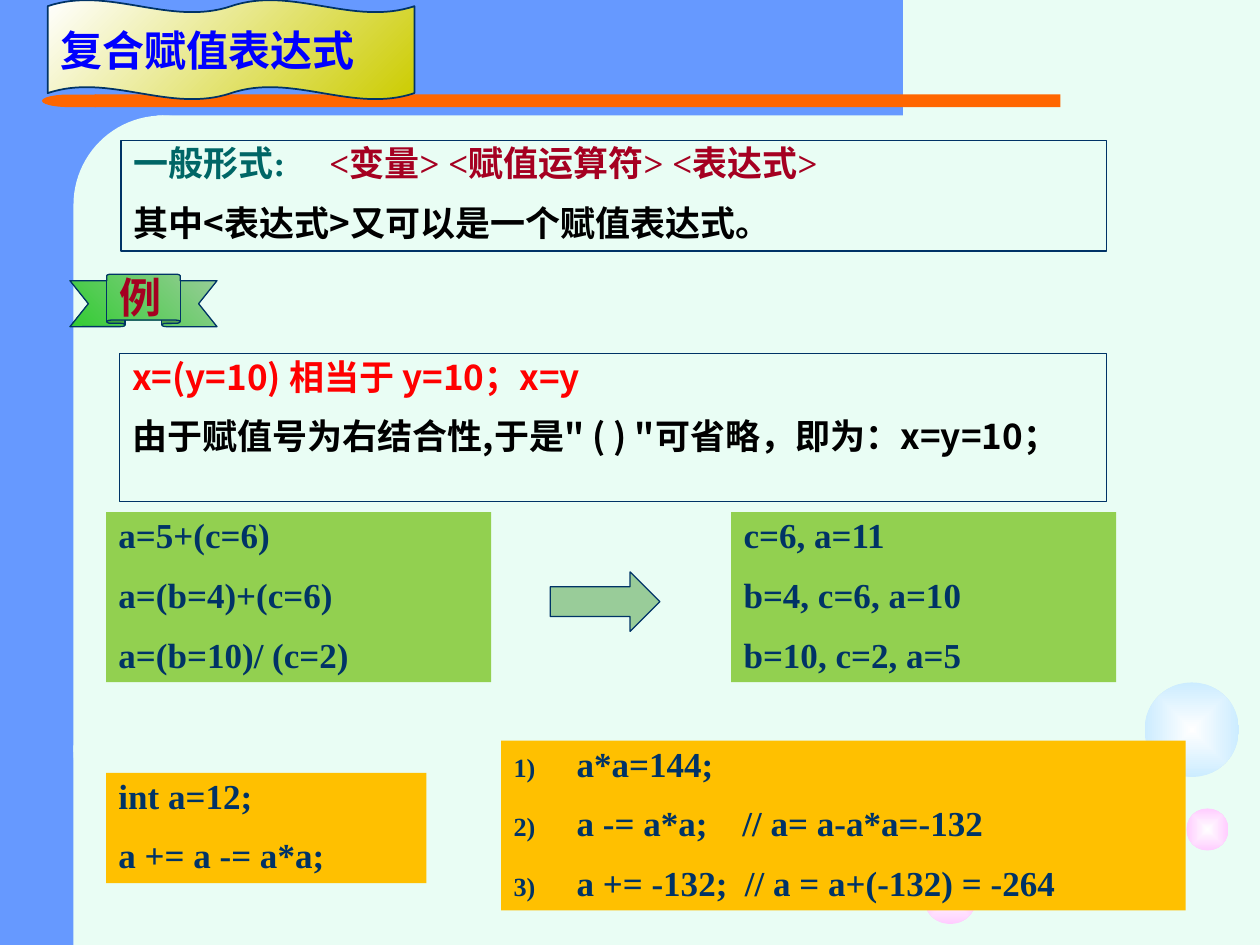
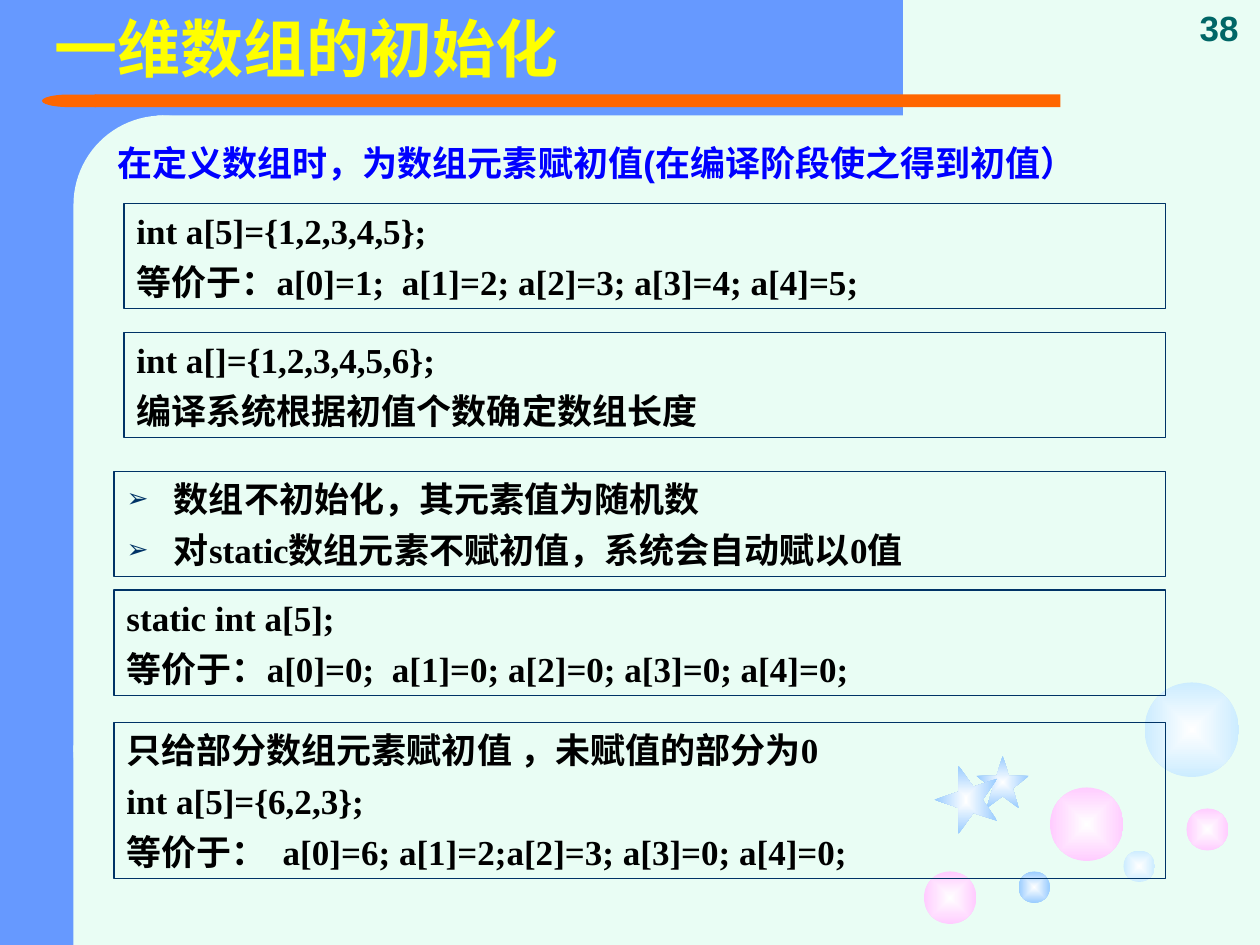
from dataclasses import dataclass, replace

import pptx
import pptx.dml.color
import pptx.enum.shapes
import pptx.enum.text
import pptx.oxml
import pptx.oxml.ns
import pptx.util

Pt = pptx.util.Pt
Kind = pptx.enum.shapes.MSO_SHAPE
Anchor = pptx.enum.text.MSO_ANCHOR
qn = pptx.oxml.ns.qn


@dataclass(frozen=True)
class Theme:
    mint: str = "E9FDF4"
    blue: str = "6699FF"
    orange: str = "FF6600"
    navy: str = "003366"
    teal: str = "006666"
    wine: str = "A50021"
    red: str = "FF0000"
    black: str = "000000"
    white: str = "FFFFFF"
    ink: str = "0000FF"
    yellow: str = "FFFF00"
    olive: str = "CCCC00"
    pink: str = "FFCCFF"
    sky: str = "CCECFF"
    azure: str = "99CCFF"
    sage: str = "99CC99"
    green: str = "33CC33"
    lime: str = "92D050"
    gold: str = "FFC000"
    serif: str = "Times New Roman"
    sans: str = "Arial"
    hans: str = "Noto Sans CJK SC"
    badge: str = "Cabin"
    text: int = 20
    head: int = 24
    title: int = 36


THEME = Theme()


@dataclass(frozen=True)
class Look:
    """Type style of a paragraph; gap is the space before, lead the line spacing."""
    hue: str
    face: str = THEME.serif
    size: int = THEME.text
    gap: float = 12.5
    lead: float = 0.9


CODE = Look(THEME.navy)
NOTE = Look(THEME.black, THEME.hans)
PLAIN = Look(THEME.black, gap=5, lead=1)


def rgb(hue):
    return pptx.dml.color.RGBColor.from_string(hue)


def place(shape, spot):
    shape.left, shape.top, shape.width, shape.height = map(Pt, spot)


def draw(slide, kind, spot, fill=None, edge=None, width=0.75):
    """Add a preset shape, with no fill or no line where none is given."""
    shape = slide.shapes.add_shape(kind, *map(Pt, spot))
    shape.shadow.inherit = False
    if fill:
        shape.fill.solid()
        shape.fill.fore_color.rgb = rgb(fill)
    else:
        shape.fill.background()
    if edge:
        shape.line.color.rgb = rgb(edge)
        shape.line.width = Pt(width)
    else:
        shape.line.fill.background()
    return shape


def shade(shape, start, end, angle=None):
    """Blend two colours along an angle, or from the centre outwards."""
    shape.fill.gradient()
    for stop, hue in zip(shape.fill.gradient_stops, (start, end)):
        stop.color.rgb = rgb(hue)
    if angle is not None:
        shape.fill.gradient_angle = angle
        return
    blend = shape.element.spPr.find(qn("a:gradFill"))
    blend.remove(blend.find(qn("a:lin")))
    blend.append(pptx.oxml.parse_xml(
        f'<a:path {pptx.oxml.ns.nsdecls("a")} path="rect">'
        '<a:fillToRect l="50000" t="50000" r="50000" b="50000"/></a:path>'))


def add_xml(props, *parts):
    for part in parts:
        head, tail = part.split(" ", 1) if " " in part else (part, "")
        props.append(pptx.oxml.parse_xml(
            f'<a:{head} {pptx.oxml.ns.nsdecls("a")} {tail}/>'))


def mark(para, sign, indent):
    """Give a paragraph a bullet or number with a hanging indent."""
    props = para._p.get_or_add_pPr()
    props.set("marL", str(Pt(indent)))
    props.set("indent", str(-Pt(indent)))
    tint = pptx.oxml.parse_xml(
        f'<a:buClr {pptx.oxml.ns.nsdecls("a")}>'
        f'<a:srgbClr val="{THEME.navy}"/></a:buClr>')
    props.append(tint)
    add_xml(props, 'buSzPct val="75000"', sign)


def style(para, look, first):
    para.alignment = pptx.enum.text.PP_ALIGN.LEFT
    para.line_spacing = look.lead
    para.space_before = Pt(0 if first else look.gap)
    font = para.font
    font.name, font.size, font.bold = look.face, Pt(look.size), True
    font.color.rgb = rgb(look.hue)


def write(shape, rows, look, anchor=Anchor.TOP, wrap=True, sign=None, indent=0):
    """Fill a shape; a row is a text, or a pair of text and look."""
    frame = shape.text_frame
    frame.word_wrap = wrap
    frame.auto_size = pptx.enum.text.MSO_AUTO_SIZE.NONE
    frame.vertical_anchor = anchor
    for i, row in enumerate(rows):
        text, own = (row, look) if isinstance(row, str) else row
        para = frame.add_paragraph() if i else frame.paragraphs[0]
        para.add_run().text = text
        if sign:
            mark(para, sign, indent)
        style(para, own, i == 0)
    return shape


def box(slide, spot, rows, look, fill=None, edge=None):
    return write(draw(slide, Kind.RECTANGLE, spot, fill, edge), rows, look)


def label(slide, spot, text, look, anchor=Anchor.TOP):
    write(slide.shapes.add_textbox(*map(Pt, spot)), [text], look, anchor)


def title(slide, spot, text, look):
    shape = slide.shapes.title
    place(shape, spot)
    write(shape, [text], look, Anchor.MIDDLE)
    slide.shapes.element.append(shape.element)  # bring to front


def points(slide, spot, rows, look, sign, indent):
    """Marked list in the body placeholder."""
    shape = slide.placeholders[1]
    place(shape, spot)
    return write(shape, rows, look, sign=sign, indent=indent)


def balls(slide, *items):
    """Draw bubbles from left, top, size and colour."""
    for left, top, size, hue in items:
        ball = draw(slide, Kind.OVAL, (left, top, size, size))
        shade(ball, THEME.white, hue)


def decor(slide):
    """Draw the bands, bar and bubbles that all slides share."""
    # Blue bands with the curved inner corner
    draw(slide, Kind.RECTANGLE, (0, 0, 90, 540), THEME.blue)
    draw(slide, Kind.RECTANGLE, (36, 0, 480, 66), THEME.blue)
    curve = draw(slide, Kind.ROUNDED_RECTANGLE, (42, 66, 102, 414), THEME.mint)
    curve.adjustments[0] = 0.5
    draw(slide, Kind.RECTANGLE, (42, 426, 102, 114), THEME.mint)
    # Orange bar with rounded left end
    draw(slide, Kind.RECTANGLE, (54, 54, 552, 7.2), THEME.orange)
    tip = draw(slide, Kind.FLOWCHART_DELAY, (24, 54, 31, 7.2), THEME.orange)
    tip.rotation = 180
    balls(slide, (528, 498, 30, THEME.pink), (678, 462, 24, THEME.pink),
          (654, 390, 54, THEME.sky))


def sparks(slide):
    """Draw the further bubbles and the stars of an open corner."""
    balls(slide, (600, 450, 42, THEME.pink), (642, 486, 18, THEME.sky),
          (582, 498, 18, THEME.azure))
    for spot, turn in (((558, 432, 30, 30), 0), ((532.5, 439, 39, 36), 270)):
        star = draw(slide, Kind.STAR_5_POINT, spot)
        star.rotation = turn
        shade(star, THEME.white, THEME.azure)


def set_master(deck, slide):
    """Move the shared drawing to the master, so that it is kept once."""
    master = deck.slide_master
    master.background.fill.solid()
    master.background.fill.fore_color.rgb = rgb(THEME.mint)
    decor(slide)
    drawn = [s for s in slide.shapes if not s.is_placeholder]
    for number, shape in enumerate(drawn, 100):
        shape.element.xpath(".//p:cNvPr")[0].set("id", str(number))
        master.shapes.element.append(shape.element)


def assign(slide):
    """Compound assignment expressions."""
    # Title on a wave
    spot = (27.3, 0, 209.5, 56.8)
    wave = draw(slide, Kind.DOUBLE_WAVE, spot, edge=THEME.navy, width=1)
    shade(wave, THEME.olive, THEME.white, 135)
    title(slide, spot, "复合赋值表达式",
          Look(THEME.ink, size=THEME.head, lead=1))

    # General form
    form = box(slide, (69.2, 80.3, 563.2, 63.1), [], NOTE, edge=THEME.navy)
    para = form.text_frame.paragraphs[0]
    add_xml(para._p.get_or_add_pPr(), "tabLst")
    add_xml(para._p.pPr.find(qn("a:tabLst")), f'tab pos="{Pt(112)}" algn="l"')
    write(form, [("一般形式:\t", Look(THEME.teal)),
                 "其中<表达式>又可以是一个赋值表达式。"], NOTE)
    run = para.add_run()
    run.text = "<变量> <赋值运算符> <表达式>"
    run.font.color.rgb = rgb(THEME.wine)

    # Example ribbon
    badge = draw(slide, Kind.UP_RIBBON, (40, 156.7, 84, 30), edge=THEME.navy)
    badge.adjustments[0], badge.adjustments[1] = 0.125, 0.5
    shade(badge, THEME.sage, THEME.green, 225)
    write(badge, ["例"], Look(THEME.wine, THEME.badge, THEME.head, lead=1),
          Anchor.MIDDLE, wrap=False)

    # Example
    box(slide, (68.4, 202.2, 564, 84.5),
        [("x=(y=10) 相当于 y=10；x=y", replace(NOTE, hue=THEME.red)),
         '由于赋值号为右结合性,于是" ( ) "可省略，即为：x=y=10；'],
        NOTE, edge=THEME.navy)

    # Expressions, arrow, results
    sums = ["a=5+(c=6)", "a=(b=4)+(c=6)", "a=(b=10)/ (c=2)"]
    ends = ["c=6, a=11", "b=4, c=6, a=10", "b=10, c=2, a=5"]
    for left, rows in ((60.6, sums), (417.8, ends)):
        box(slide, (left, 292.7, 220, 97.1), rows, CODE, THEME.lime)
    draw(slide, Kind.RIGHT_ARROW, (314.5, 326.8, 62.6, 34),
         THEME.sage, THEME.navy)

    # Chained assignment and its steps
    box(slide, (60.6, 441.6, 183.1, 63.1), ["int a=12;", "a += a -= a*a;"],
        CODE, THEME.gold)
    steps = points(slide, (286.3, 423.2, 391.2, 97.1),
                   ["a*a=144;", "a -= a*a;    // a= a-a*a=-132",
                    "a += -132;  // a = a+(-132) = -264"],
                   CODE, 'buAutoNum type="arabicParenR"', 36)
    steps.fill.solid()
    steps.fill.fore_color.rgb = rgb(THEME.gold)


def arrays(slide):
    """Initialising one-dimensional arrays."""
    sparks(slide)
    title(slide, (24, 0, 606, 60), "一维数组的初始化",
          Look(THEME.yellow, THEME.sans, THEME.title))
    label(slide, (678.5, 0, 41.5, 31.5), "38",
          Look(THEME.teal, THEME.sans, lead=1), Anchor.BOTTOM)
    label(slide, (60, 77.3, 628.5, 39.5),
          "在定义数组时，为数组元素赋初值(在编译阶段使之得到初值）",
          Look(THEME.ink, THEME.sans, lead=1))

    # Framed cases, all ending at the same right edge
    right = 666
    for left, top, high, rows in (
            (70.9, 116.2, 60.2,
             ["int a[5]={1,2,3,4,5};",
              "等价于：a[0]=1;  a[1]=2; a[2]=3; a[3]=4; a[4]=5;"]),
            (70.9, 190, 60.2,
             ["int a[]={1,2,3,4,5,6};", "编译系统根据初值个数确定数组长度"]),
            (65.2, 337.2, 60.2,
             ["static int a[5];",
              "等价于：a[0]=0;  a[1]=0; a[2]=0; a[3]=0; a[4]=0;"]),
            (65.2, 412.8, 89.2,
             ["只给部分数组元素赋初值 ，未赋值的部分为0", "int a[5]={6,2,3};",
              "等价于：  a[0]=6; a[1]=2;a[2]=3; a[3]=0; a[4]=0;"])):
        box(slide, (left, top, right - left, high), rows, PLAIN,
            edge=THEME.navy)

    # Default values
    rules = points(slide, (65.2, 269.4, right - 65.2, 60.2),
                   ["数组不初始化，其元素值为随机数",
                    "对static数组元素不赋初值，系统会自动赋以0值"],
                   PLAIN, 'buChar char="➢"', 27)
    rules.line.color.rgb = rgb(THEME.navy)
    rules.line.width = Pt(0.75)


def main():
    deck = pptx.Presentation()
    deck.slide_width, deck.slide_height = Pt(720), Pt(540)
    layout = deck.slide_layouts[1]
    first = deck.slides.add_slide(layout)
    set_master(deck, first)
    assign(first)
    arrays(deck.slides.add_slide(layout))
    deck.save("out.pptx")


if __name__ == "__main__":
    main()
